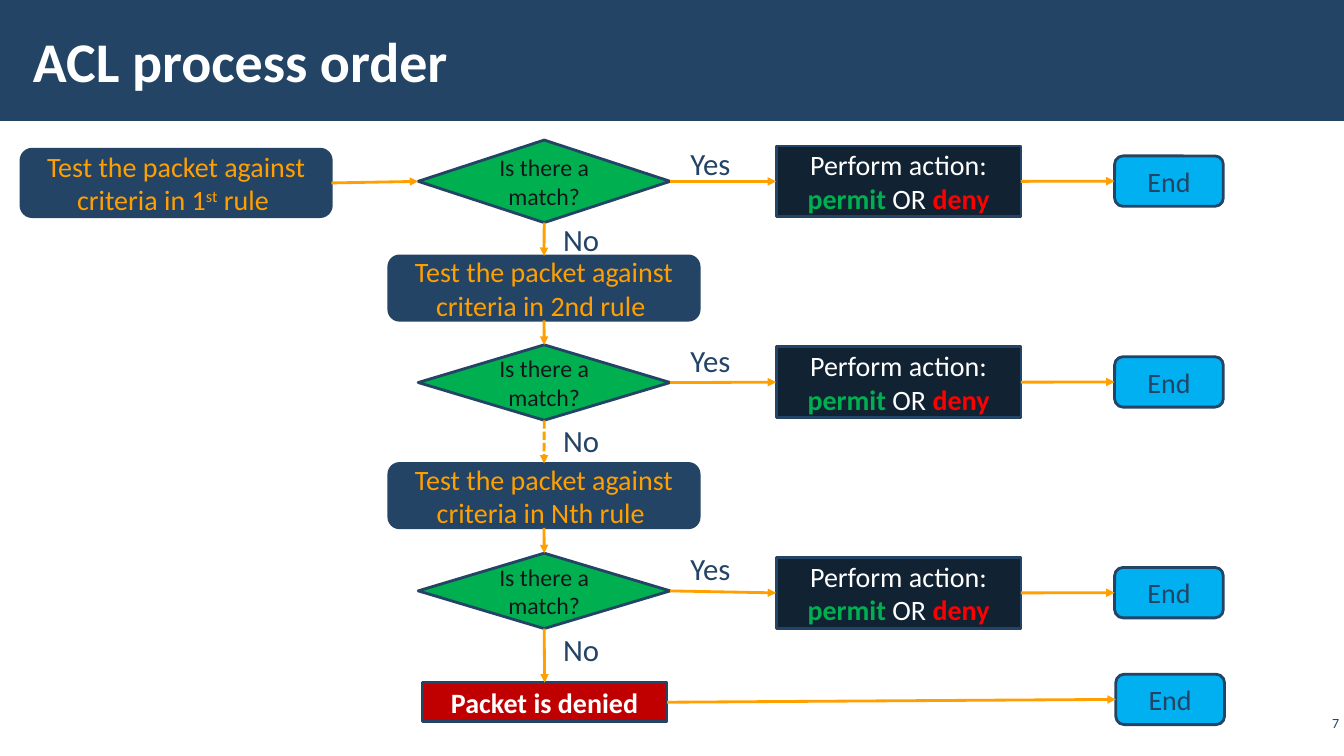
from lxml.etree import SubElement
from pptx import Presentation
from pptx.dml.color import RGBColor
from pptx.enum.dml import MSO_LINE
from pptx.enum.shapes import MSO_CONNECTOR, MSO_SHAPE
from pptx.enum.text import MSO_ANCHOR, MSO_AUTO_SIZE, PP_ALIGN
from pptx.oxml.ns import qn
from pptx.util import Cm, Pt

NAVY, ORANGE, WHITE = "234465", "FFA000", "FFFFFF"
GREEN, RED = "00B050", "FF0000"
TOP, LEFT, BOTTOM, RIGHT = range(4)


def color(hex_value):
    return RGBColor.from_string(hex_value)


def write(shape, text, size=20, ink=NAVY, bold=False, align=PP_ALIGN.CENTER,
          anchor=MSO_ANCHOR.MIDDLE, wrap=True):
    """Text is one string, or a list of (string, changes) pairs."""
    frame = shape.text_frame
    frame.word_wrap, frame.vertical_anchor = wrap, anchor
    paragraph = frame.paragraphs[0]
    paragraph.alignment = align
    for words, changes in [(text, {})] if isinstance(text, str) else text:
        run = paragraph.add_run()
        run.text = words
        run.font.name, run.font.size = "Calibri", Pt(size)
        run.font.bold = changes.get("bold", bold)
        run.font.color.rgb = color(changes.get("ink", ink))
        if "baseline" in changes:
            run.font._element.set("baseline", changes["baseline"])


presentation = Presentation()
presentation.slide_width, presentation.slide_height = Cm(33.87), Cm(19.05)
slide = presentation.slides.add_slide(presentation.slide_layouts[5])
shapes = slide.shapes

# Title on its band
band = shapes.add_shape(MSO_SHAPE.RECTANGLE, 0, 0, presentation.slide_width, Cm(3.05))
band.shadow.inherit = False
band.fill.solid()
band.fill.fore_color.rgb = color(NAVY)
band.line.fill.background()
shapes._spTree.insert(2, band._element)

title = shapes.title
title.left, title.top, title.width, title.height = Cm(0.53), Cm(0.28), Cm(26.42), Cm(2.46)
title.text_frame.margin_left = title.text_frame.margin_right = Cm(0.3)
title.text_frame.margin_top = title.text_frame.margin_bottom = Cm(0.1)
title.text_frame.auto_size = MSO_AUTO_SIZE.NONE
write(title, "ACL process order", size=40, ink=WHITE, bold=True, align=PP_ALIGN.LEFT)

# Steps of the flow: one row for each rule, then the default denial
rule_rows = [
    # rule text, rule box, match top and height, action top
    ([("Test the packet against criteria in 1", {}), ("st", {"baseline": "30000"}),
      (" rule ", {})], (0.53, 3.76, 7.82, 1.7), (3.53, 2.08), 3.68),
    ("Test the packet against criteria in 2nd rule ",
     (9.8, 6.45, 7.82, 1.62), (8.69, 1.9), 8.74),
    ("Test the packet against criteria in Nth rule ",
     (9.8, 11.68, 7.82, 1.62), (13.94, 1.9), 14.05),
]
action_text = [("Perform action: ", {}), ("permit", {"ink": GREEN, "bold": True}),
               (" OR ", {}), ("deny", {"ink": RED, "bold": True})]
steps = {}
for row, (rule_text, rule_box, (match_top, match_height), action_top) in enumerate(rule_rows):
    steps["rule", row] = (MSO_SHAPE.ROUNDED_RECTANGLE, rule_box, NAVY,
                          rule_text, {"ink": ORANGE})
    steps["match", row] = (MSO_SHAPE.FLOWCHART_DECISION,
                           (10.54, match_top, 6.35, match_height), GREEN,
                           "Is there a match?", {"size": 17, "ink": "15171C"})
    steps["action", row] = (MSO_SHAPE.RECTANGLE, (19.56, action_top, 6.17, 1.78),
                            "112233", action_text, {"ink": WHITE})
    steps["end", row] = (MSO_SHAPE.ROUNDED_RECTANGLE,
                         (28.09, action_top + 0.25, 2.74, 1.27), "00B0F0", "End", {})
steps["denied", 3] = (MSO_SHAPE.RECTANGLE, (10.64, 17.2, 6.17, 0.99), "C00000",
                      "Packet is denied", {"ink": WHITE, "bold": True})
steps["end", 3] = (MSO_SHAPE.ROUNDED_RECTANGLE, (28.12, 16.99, 2.74, 1.27),
                   "00B0F0", "End", {})

placed = {}
for key, (outline, box, fill, text, text_format) in steps.items():
    step = shapes.add_shape(outline, *map(Cm, box))
    step.shadow.inherit = False
    step.fill.solid()
    step.fill.fore_color.rgb = color(fill)
    step.line.color.rgb = color(NAVY)
    step.line.width = Pt(2)
    write(step, text, **text_format)
    placed[key] = step

# Arrows between the steps
links = [(("denied", 3), RIGHT, ("end", 3), LEFT)]
for row in range(3):
    following = ("rule", row + 1) if row < 2 else ("denied", 3)
    links += [
        (("rule", row), BOTTOM if row else RIGHT, ("match", row), TOP if row else LEFT),
        (("match", row), RIGHT, ("action", row), LEFT),
        (("action", row), RIGHT, ("end", row), LEFT),
        (("match", row), BOTTOM, following, TOP),
    ]
for source, source_side, target, target_side in links:
    arrow = shapes.add_connector(MSO_CONNECTOR.STRAIGHT, 0, 0, 0, 0)
    arrow.begin_connect(placed[source], source_side)
    arrow.end_connect(placed[target], target_side)
    arrow.line.color.rgb = color(ORANGE)
    arrow.line.width = Pt(2)
    # The rules between the 2nd and the Nth are skipped
    if target == ("rule", 2):
        arrow.line.dash_style = MSO_LINE.SQUARE_DOT
    SubElement(arrow.line._get_or_add_ln(), qn("a:tailEnd"), type="triangle")
    SubElement(arrow._element.spPr, qn("a:effectLst"))

# Answers beside the arrows
answers = [("Yes", 17.15, 1.55, (3.53, 8.48, 13.72)),
           ("No", 13.94, 1.42, (5.44, 10.49, 15.77))]
for answer, left, width, tops in answers:
    for top in tops:
        label = shapes.add_textbox(Cm(left), Cm(top), Cm(width), Cm(1.19))
        label.text_frame.auto_size = MSO_AUTO_SIZE.SHAPE_TO_FIT_TEXT
        write(label, answer, size=22, align=PP_ALIGN.LEFT, anchor=MSO_ANCHOR.TOP, wrap=False)

# Page number
page_number = shapes.add_textbox(Cm(32.66), Cm(17.78), Cm(1.19), Cm(0.86))
page_number.text_frame.margin_left = page_number.text_frame.margin_right = Cm(0.1)
page_number.text_frame.margin_top = page_number.text_frame.margin_bottom = Cm(0.1)
write(page_number, "7", size=10, align=PP_ALIGN.RIGHT)

presentation.save("out.pptx")
